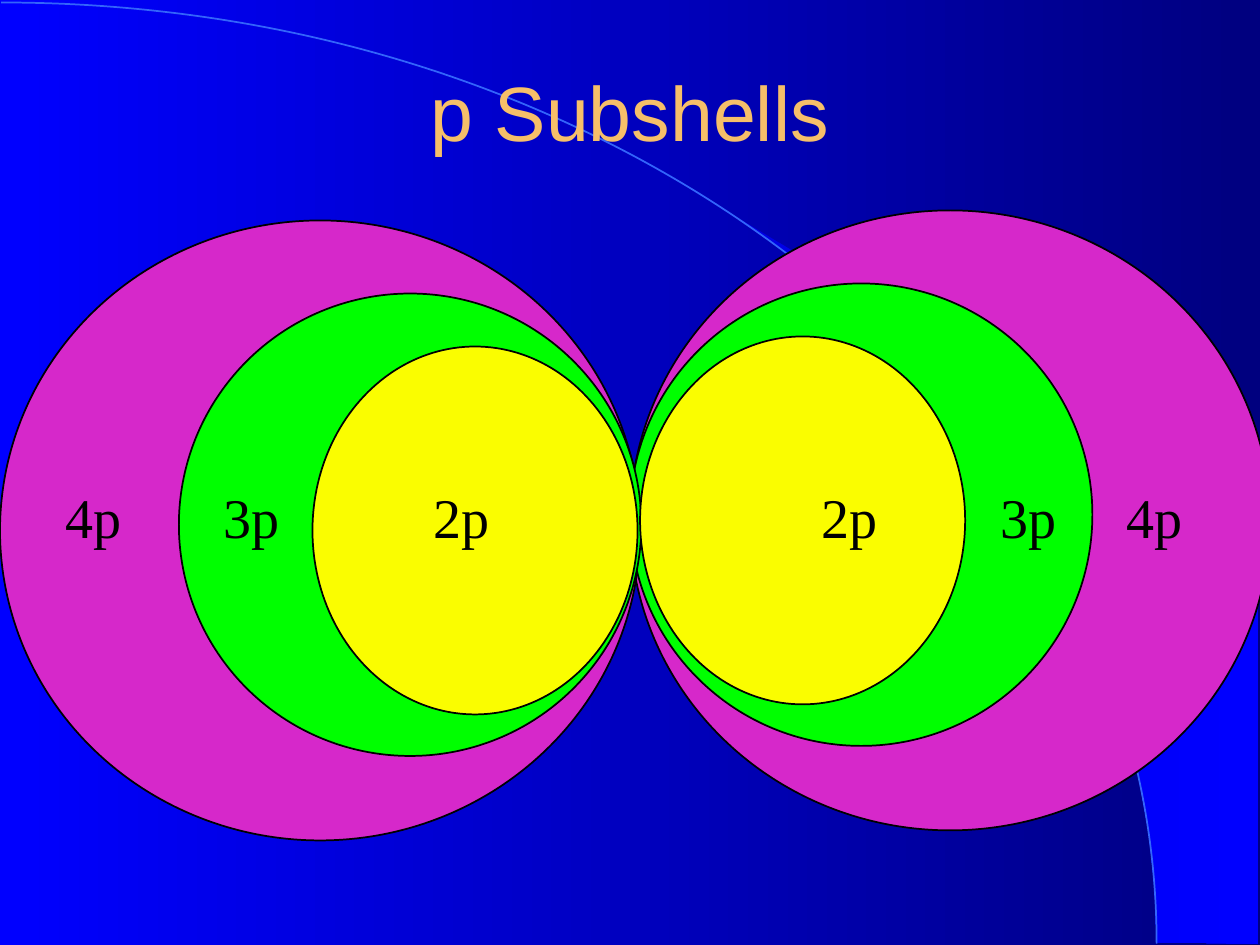
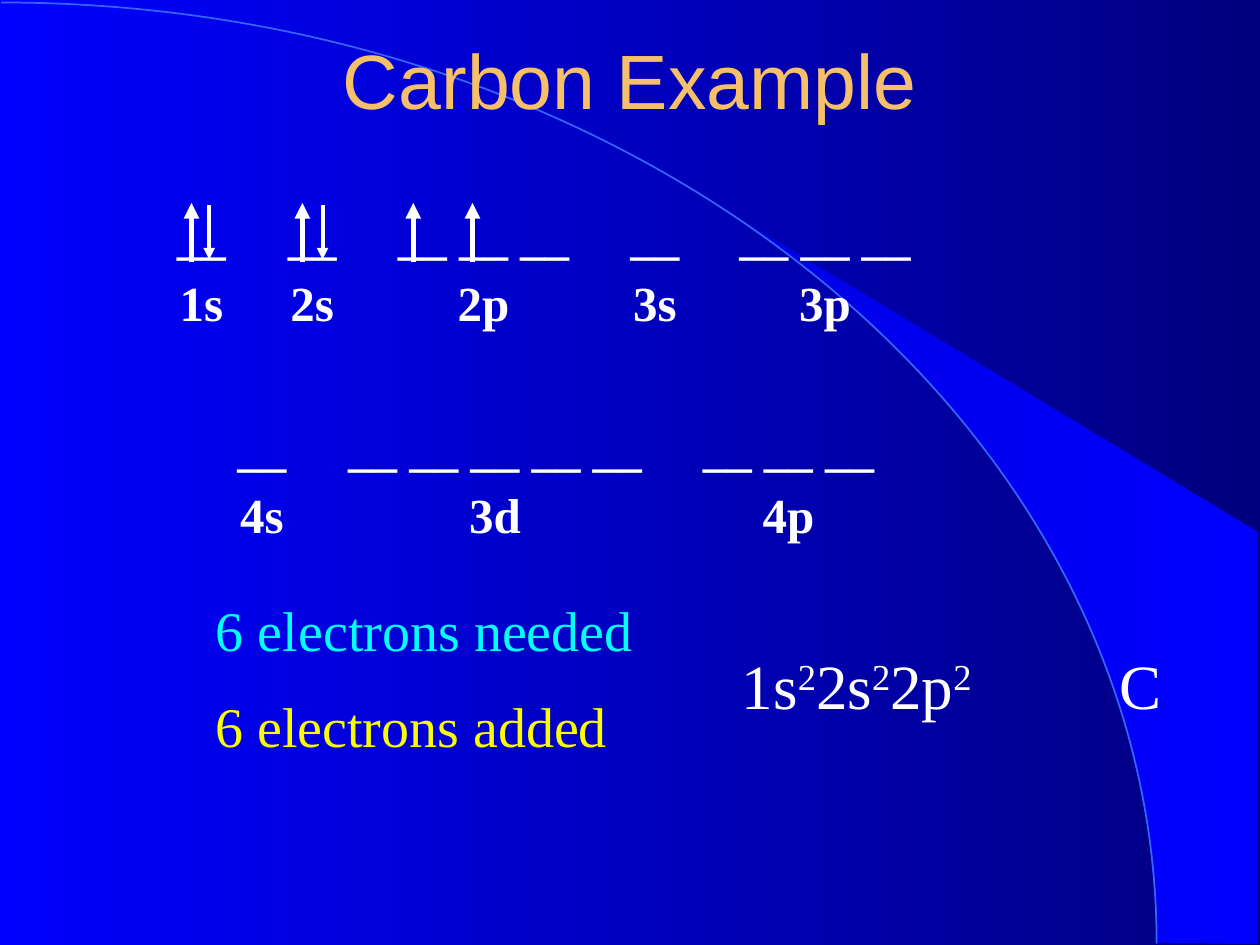
from math import asin, cos, pi, sin

from pptx import Presentation
from pptx.dml.color import RGBColor
from pptx.enum.shapes import MSO_CONNECTOR as Link, MSO_SHAPE as Preset
from pptx.enum.text import MSO_ANCHOR as Anchor, PP_ALIGN as Align
from pptx.oxml.ns import qn
from pptx.util import Inches, Pt
from lxml.etree import SubElement

WHITE, BLACK, YELLOW, CYAN = "FFFFFF", "000000", "FAFD00", "00FFFF"
MAGENTA, GREEN = "D628CA", "00FF00"
GOLD, ARC_BLUE = "F6BF69", "3365FB"
BACKDROP = ("0000FF", "00007F")
WEDGE = ("0000E5", "0000FF")

TITLE = dict(name="Arial", size=Pt(44), color=GOLD)
BODY = dict(name="Times New Roman", size=Pt(32), color=WHITE)
ORBITAL = BODY | dict(size=Pt(28), bold=True)
FORMULA = BODY | dict(size=Pt(36))

# Colour, lobe size, left edges of the two lobes, top of the left lobe, left edges of the labels
SHELLS = {
    "4p": (MAGENTA, (5.08, 4.92), (0, 5), 1.75, (0.33, 8.75)),
    "3p": (GREEN, (3.67, 3.67), (1.42, 5), 2.33, (1.58, 7.75)),
    "2p": (YELLOW, (2.58, 2.92), (2.48, 5.08), 2.75, (3.25, 6.33)),
}
# Subshell, number of orbitals, centre of the group from the left edge of the text
SUBSHELL_ROWS = [
    [("1s", 1, 0.57), ("2s", 1, 1.45), ("2p", 3, 2.81), ("3s", 1, 4.17), ("3p", 3, 5.52)],
    [("4s", 1, 1.05), ("3d", 5, 2.9), ("4p", 3, 5.23)],
]
SPINS_UP = (0.59, 1.47, 2.35, 2.82)
SPINS_DOWN = (0.73, 1.63)


def rgb(code):
    return RGBColor.from_string(code)


def gradient(fill, colours):
    fill.gradient()
    fill.gradient_angle = 0
    for stop, code in zip(fill.gradient_stops, colours):
        stop.color.rgb = rgb(code)


def add_run(paragraph, text, style):
    run = paragraph.add_run()
    run.text = text
    for key, value in style.items():
        if key == "color":
            run.font.color.rgb = rgb(value)
        else:
            setattr(run.font, key, value)
    return run


def add_tabs(paragraph, positions, align):
    tabs = SubElement(paragraph._p.get_or_add_pPr(), qn("a:tabLst"))
    for position in positions:
        SubElement(tabs, qn("a:tab"), pos=str(Inches(position)), algn=align)


def text_frame(slide, left, top, width, height):
    frame = slide.shapes.add_textbox(*map(Inches, (left, top, width, height))).text_frame
    frame.word_wrap = True
    return frame


def add_outline(slide, points, close):
    start, *rest = [(Inches(x), Inches(y)) for x, y in points]
    builder = slide.shapes.build_freeform(*start)
    builder.add_line_segments(rest, close=close)
    outline = builder.convert_to_shape()
    outline.shadow.inherit = False
    return outline


def add_wedge(slide):
    """Follow the backdrop ellipse down to the bottom edge, then close at the right."""
    start, steps = asin(0.64), 15
    angles = [start + (pi / 2 - start) * i / steps for i in range(steps + 1)]
    rim = [(9.18 * sin(a), 7.48 - 7.47 * cos(a)) for a in angles]
    wedge = add_outline(slide, rim + [(9.99, 7.49), (9.99, 4.23)], True)
    gradient(wedge.fill, WEDGE)
    wedge.line.fill.background()
    return wedge


def add_arc(slide):
    """Draw a chord and bend it into a quarter ellipse."""
    arc = add_outline(slide, [(0.01, 0.02), (9.18, 7.49)], False)
    chord = next(arc._element.iter(qn("a:lnTo")))
    chord.tag = qn("a:cubicBezTo")
    for depth, (x, y) in enumerate([(5.07, 0), (9.17, 3.35)]):
        control = SubElement(chord, qn("a:pt"), x=str(Inches(x)), y=str(Inches(y)))
        chord.insert(depth, control)
    arc.fill.background()
    arc.line.color.rgb = rgb(ARC_BLUE)
    arc.line.width = Pt(1)
    return arc


def decorate_master(master, slide):
    """Build the backdrop on a slide, then move it behind the master's placeholders."""
    gradient(master.background.fill, BACKDROP)
    for depth, part in enumerate((add_wedge(slide), add_arc(slide))):
        master.shapes._spTree.insert(2 + depth, part._element)


def add_title(slide, text, top):
    title = slide.shapes.title
    title.left, title.top, title.width, title.height = map(Inches, (0.75, top, 8.5, 1.25))
    title.text_frame.vertical_anchor = Anchor.MIDDLE
    paragraph = title.text_frame.paragraphs[0]
    paragraph.alignment = Align.CENTER
    add_run(paragraph, text, TITLE)


def add_lobe(slide, left, top, size, colour):
    lobe = slide.shapes.add_shape(Preset.OVAL, *map(Inches, (left, top, *size)))
    lobe.shadow.inherit = False
    lobe.fill.solid()
    lobe.fill.fore_color.rgb = rgb(colour)
    lobe.line.color.rgb = rgb(BLACK)
    lobe.line.width = Pt(1)


def add_p_subshells(slide):
    add_title(slide, "p Subshells", 0.25)
    for colour, size, (left, right), top, _ in SHELLS.values():
        add_lobe(slide, right, top - 0.08, size, colour)
        add_lobe(slide, left, top, size, colour)
    for subshell, (*_, label_lefts) in reversed(SHELLS.items()):
        for label_left in label_lefts:
            label = text_frame(slide, label_left, 3.78, 0.83, 0.63).paragraphs[0]
            label.alignment = Align.CENTER
            add_run(label, subshell, BODY | dict(color=BLACK))


def add_orbitals(slide, left, top):
    """Set each row of orbital blanks over its row of subshell names."""
    frame = text_frame(slide, left, top, 8.5, 4.5)
    blanks = frame.paragraphs[0]
    for row, subshells in enumerate(SUBSHELL_ROWS):
        if row:
            blanks = frame.add_paragraph()
            blanks.space_before = Pt(49)
        labels = frame.add_paragraph()
        labels.space_before = Pt(5)
        names, counts, centres = zip(*subshells)
        groups = [" ".join(["__"] * count) for count in counts]
        for paragraph, cells in ((blanks, groups), (labels, names)):
            add_tabs(paragraph, centres, "ctr")
            add_run(paragraph, "".join("\t" + cell for cell in cells), ORBITAL)


def add_spin(slide, x, start, end, width):
    spin = slide.shapes.add_connector(Link.STRAIGHT, *map(Inches, (x, start, x, end)))
    spin.line.color.rgb = rgb(WHITE)
    spin.line.width = Pt(width)
    SubElement(spin.line._get_or_add_ln(), qn("a:tailEnd"), type="triangle")
    SubElement(spin._element.spPr, qn("a:effectLst"))


def add_electron_count(slide, left, top):
    frame = text_frame(slide, left, top, 5.96, 1.43)
    needed, added = frame.paragraphs[0], frame.add_paragraph()
    needed.alignment = Align.CENTER
    added._p.get_or_add_pPr().set("marL", str(Inches(1.22)))
    added.space_before = Pt(16)
    add_run(needed, "6 electrons needed", BODY | dict(color=CYAN))
    add_run(added, "6 electrons added", BODY | dict(color=YELLOW))


def add_configuration(slide, left, top):
    formula = text_frame(slide, left, top, 3.88, 0.7).paragraphs[0]
    add_tabs(formula, [3], "l")
    for subshell in ("1s", "2s", "2p"):
        add_run(formula, subshell, FORMULA)
        exponent = add_run(formula, "2", FORMULA)
        exponent._r.get_or_add_rPr().set("baseline", "30000")
    add_run(formula, "\tC", FORMULA)


def add_carbon_example(slide):
    left, top = 0.93, 1.58
    add_title(slide, "Carbon Example", 0)
    add_orbitals(slide, left, top)
    add_electron_count(slide, 0.39, 4.68)
    for x in SPINS_UP:
        add_spin(slide, left + x, top + 0.5, top + 0.03, 3)
    for x in SPINS_DOWN:
        add_spin(slide, left + x, top + 0.05, top + 0.48, 2.25)
    add_configuration(slide, 5.79, 5.08)


def main():
    prs = Presentation()
    prs.slide_width, prs.slide_height = Inches(10), Inches(7.5)
    title_only = prs.slide_layouts[5]
    subshells, carbon = (prs.slides.add_slide(title_only) for _ in range(2))
    decorate_master(prs.slide_master, subshells)
    add_p_subshells(subshells)
    add_carbon_example(carbon)
    prs.save("out.pptx")


if __name__ == "__main__":
    main()
